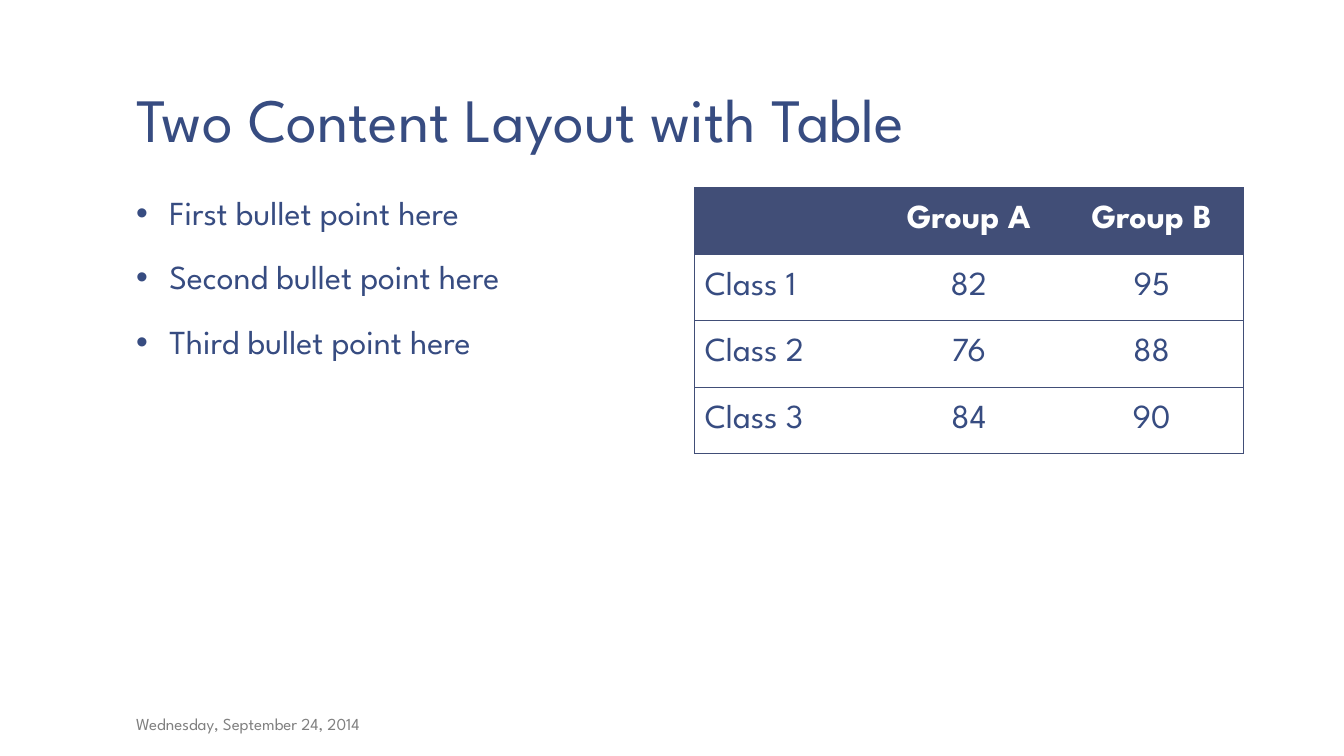
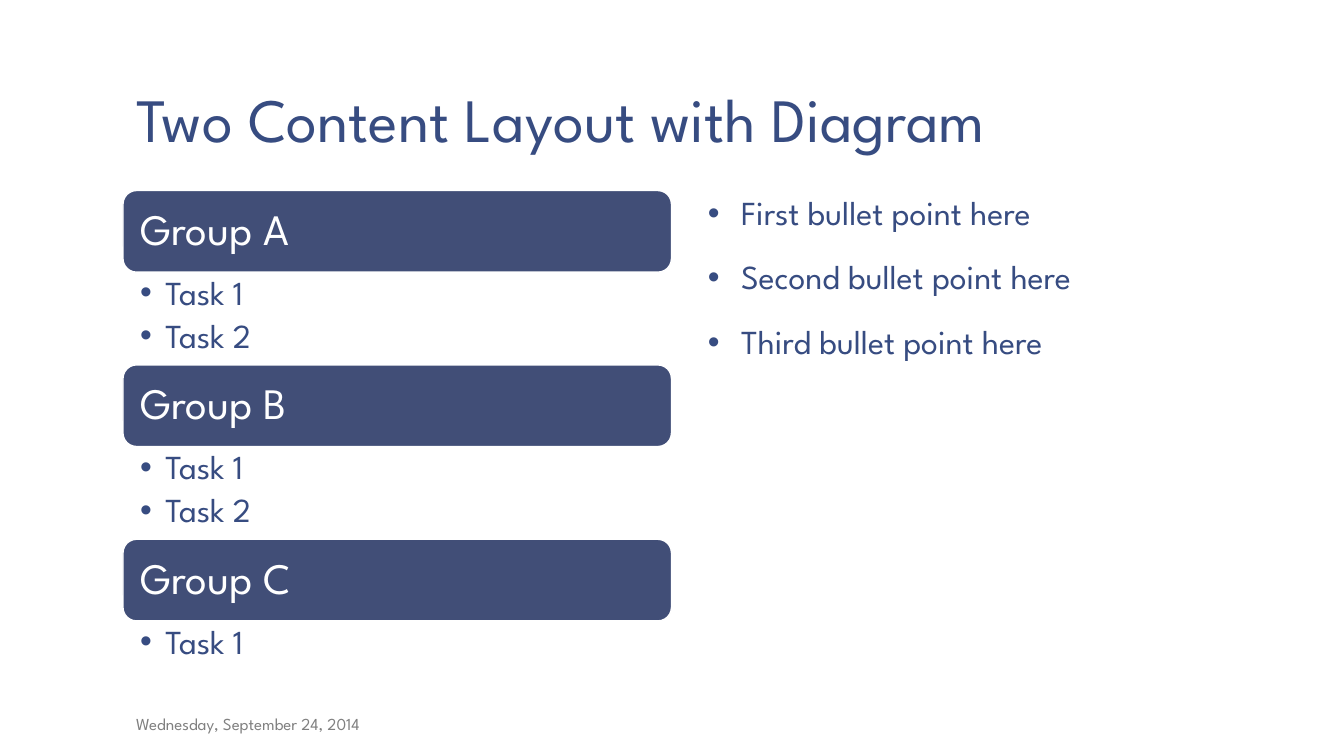
import lxml.etree
import pptx
import pptx.dml.color
import pptx.enum.shapes
import pptx.enum.text
import pptx.oxml.ns
import pptx.util

Inches = pptx.util.Inches
Pt = pptx.util.Pt
ALIGN = pptx.enum.text.PP_ALIGN
ANCHOR = pptx.enum.text.MSO_ANCHOR
FONT = "League Spartan"
INK, BAND, GRAY, WHITE = "374C81", "414E77", "808080", "FFFFFF"
TITLE_BOX = (1.22, 0.08, 11.11, 1.53)
LEFT_BOX = (1.22, 1.86, 5.44, 4.89)
RIGHT_BOX = (6.89, 1.86, 5.44, 4.89)
DATE_BOX = (1.22, 7, 3, 0.35)
DATE = "Wednesday, September 24, 2014"
BULLETS = ["First bullet point here", "Second bullet point here", "Third bullet point here"]
SCORES = [
    ["", "Group A", "Group B"],
    ["Class 1", "82", "95"],
    ["Class 2", "76", "88"],
    ["Class 3", "84", "90"],
]
GROUPS = [("Group A", ["Task 1", "Task 2"]), ("Group B", ["Task 1", "Task 2"]), ("Group C", ["Task 1"])]
BODY_INSETS = (0.13, 0.07, 0.13, 0.07)


def rgb(value):
    """Turn a hex string into a colour."""
    return pptx.dml.color.RGBColor.from_string(value)


def apply(target, values):
    """Set every attribute named in a dict of format values."""
    for name, value in values.items():
        setattr(target, name, value)


def place(part, box):
    """Move a part to a box given in inches."""
    apply(part, dict(zip(("left", "top", "width", "height"), map(Inches, box))))


def add_xml(parent, tag, index=None, **attributes):
    """Add a drawing element to a parent and return it."""
    child = lxml.etree.Element(pptx.oxml.ns.qn(tag), attributes)
    parent.insert(len(parent) if index is None else index, child)
    return child


def write(frame, lines, size, color, anchor=ANCHOR.TOP, insets=BODY_INSETS, bold=False, **paragraph_format):
    """Fill a text frame with one formatted paragraph per line."""
    margins = ("margin_left", "margin_top", "margin_right", "margin_bottom")
    apply(frame, dict(zip(margins, map(Inches, insets))))
    apply(frame, {"word_wrap": True, "vertical_anchor": anchor, "auto_size": pptx.enum.text.MSO_AUTO_SIZE.NONE})
    frame.text = "\n".join(lines)
    for paragraph in frame.paragraphs:
        apply(paragraph, {"alignment": ALIGN.LEFT, **paragraph_format})
        for run in paragraph.runs:
            apply(run.font, {"name": FONT, "size": Pt(size), "bold": bold})
            run.font.color.rgb = rgb(color)


def add_bullets(frame, indent):
    """Give every paragraph a hanging bullet."""
    for paragraph in frame.paragraphs:
        properties = paragraph._p.get_or_add_pPr()
        properties.set("marL", str(Inches(indent)))
        properties.set("indent", str(-Inches(indent)))
        add_xml(properties, "a:buFont", typeface="Arial")
        add_xml(properties, "a:buChar", char="•")


def add_content_slide(deck, title, bullet_box):
    """Add a slide with title, bullet list and date."""
    slide = deck.slides.add_slide(deck.slide_layouts[1])
    heading, body = slide.shapes.title, slide.placeholders[1]
    place(heading, TITLE_BOX)
    write(heading.text_frame, [title], 44, INK, ANCHOR.BOTTOM, line_spacing=0.85)
    place(body, bullet_box)
    write(body.text_frame, BULLETS, 24, INK, line_spacing=0.95, space_before=Pt(18.7))
    add_bullets(body.text_frame, 0.33)
    date = slide.shapes.add_textbox(*map(Inches, DATE_BOX))
    write(date.text_frame, [DATE], 12, GRAY, ANCHOR.BOTTOM)
    return slide


def set_borders(cell, visible):
    """Draw the visible edges of a cell and clear the others."""
    properties = cell._tc.get_or_add_tcPr()
    for index, edge in enumerate("LRTB"):
        line = add_xml(properties, "a:ln" + edge, index, w=str(Pt(0.5)))
        if edge in visible:
            add_xml(add_xml(line, "a:solidFill"), "a:srgbClr", val=BAND)
        else:
            add_xml(line, "a:noFill")


def add_score_table(slide, box):
    """Add the score table at the top of a box."""
    left, top, width, _ = box
    row_height, columns = 0.66, len(SCORES[0])
    frame = slide.shapes.add_table(
        len(SCORES), columns, *map(Inches, (left, top, width, row_height * len(SCORES)))
    )
    for r, row in enumerate(SCORES):
        for c, value in enumerate(row):
            cell, header = frame.table.cell(r, c), r == 0
            write(cell.text_frame, [value], 24, WHITE if header else INK, bold=header,
                  alignment=ALIGN.CENTER if c else ALIGN.LEFT)
            apply(cell, {"vertical_anchor": ANCHOR.MIDDLE, "margin_left": Inches(0.1), "margin_right": Inches(0.1),
                         "margin_top": Inches(0.05), "margin_bottom": Inches(0.05)})
            if header:
                cell.fill.solid()
                cell.fill.fore_color.rgb = rgb(BAND)
            else:
                cell.fill.background()
            set_borders(cell, "TB" + ("L" if c == 0 else "") + ("R" if c == columns - 1 else ""))


def add_task_groups(slide, box):
    """Stack group headers and their task lists in a box."""
    left, top, width, _ = box
    header_height, pitch = 0.81, 1.73
    for index, (group, tasks) in enumerate(GROUPS):
        y = top + 0.03 + index * pitch
        header = slide.shapes.add_shape(
            pptx.enum.shapes.MSO_SHAPE.ROUNDED_RECTANGLE, *map(Inches, (left, y, width, header_height))
        )
        header.shadow.inherit = False
        header.fill.solid()
        header.fill.fore_color.rgb = rgb(BAND)
        header.line.color.rgb = rgb(WHITE)
        header.line.width = Pt(1)
        write(header.text_frame, [group], 31, WHITE, ANCHOR.MIDDLE, (0.13,) * 4, line_spacing=0.9)
        task_box = (left, y + header_height, width, 0.1 + 0.41 * len(tasks))
        task_list = slide.shapes.add_textbox(*map(Inches, task_box))
        write(task_list.text_frame, tasks, 24, INK, insets=(0.17, 0.04, 0.24, 0.04),
              line_spacing=0.9, space_after=Pt(4.8))
        add_bullets(task_list.text_frame, 0.25)


def main():
    """Build and save the deck."""
    deck = pptx.Presentation()
    apply(deck, {"slide_width": Inches(13.33), "slide_height": Inches(7.5)})
    add_score_table(add_content_slide(deck, "Two Content Layout with Table", LEFT_BOX), RIGHT_BOX)
    add_task_groups(add_content_slide(deck, "Two Content Layout with Diagram", RIGHT_BOX), LEFT_BOX)
    deck.save("out.pptx")


if __name__ == "__main__":
    main()
